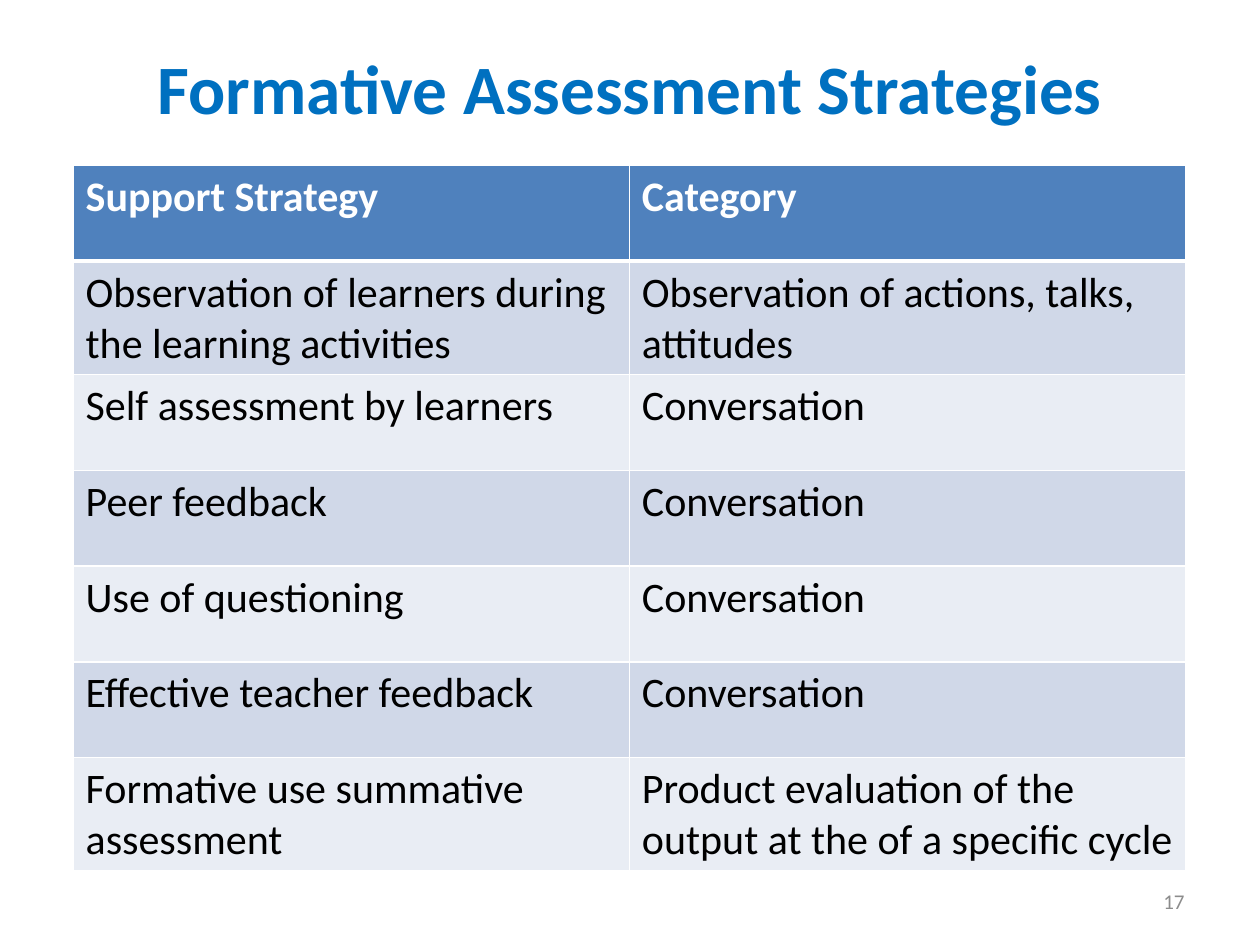
from lxml import etree
from pptx import Presentation
from pptx.dml.color import RGBColor
from pptx.enum.text import MSO_ANCHOR, PP_ALIGN
from pptx.oxml.ns import qn
from pptx.util import Inches, Pt

MIDDLE = MSO_ANCHOR.MIDDLE
CENTER, RIGHT, LEFT = PP_ALIGN.CENTER, PP_ALIGN.RIGHT, PP_ALIGN.LEFT
WIDTH, HEIGHT = Inches(10), Inches(7.5)
FONT = "Calibri"
COLORS = {
    "title": "0070C0",
    "header": "4F81BD",
    "odd": "D0D8E8",
    "even": "E9EDF4",
    "white": "FFFFFF",
    "black": "000000",
    "gray": "8C8C8C",
}
TABLE_BOX = (0.058, 0.175, 0.883, 0.72)
ROW_HEIGHT, FIRST_ROW_HEIGHT = Inches(0.76), Inches(0.84)
STRATEGIES = [
    ("Support Strategy", "Category"),
    ("Observation of learners during the learning activities",
     "Observation of actions, talks, attitudes"),
    ("Self assessment by learners", "Conversation"),
    ("Peer feedback", "Conversation"),
    ("Use of questioning", "Conversation"),
    ("Effective teacher feedback", "Conversation"),
    ("Formative use summative assessment",
     "Product evaluation of the output at the of a specific cycle"),
]


def place(box):
    left, top, width, height = box
    return (int(left * WIDTH), int(top * HEIGHT),
            int(width * WIDTH), int(height * HEIGHT))


def write(text_frame, text, size, color, bold=False, align=LEFT):
    paragraph = text_frame.paragraphs[0]
    paragraph.alignment = align
    run = paragraph.add_run()
    run.text = text
    formats = {"name": FONT, "size": Pt(size), "bold": bold}
    for name, value in formats.items():
        setattr(run.font, name, value)
    run.font.color.rgb = RGBColor.from_string(COLORS[color])


def add_text(slide, box, text, size, color, bold=False, align=LEFT):
    text_frame = slide.shapes.add_textbox(*place(box)).text_frame
    formats = {"word_wrap": True, "vertical_anchor": MIDDLE}
    for name, value in formats.items():
        setattr(text_frame, name, value)
    write(text_frame, text, size, color, bold, align)


def set_borders(cell, widths):
    properties = cell._tc.get_or_add_tcPr()
    for position, (side, width) in enumerate(widths.items()):
        line = etree.Element(qn("a:ln" + side), w=str(Pt(width)))
        fill = etree.SubElement(line, qn("a:solidFill"))
        etree.SubElement(fill, qn("a:srgbClr"), val=COLORS["white"])
        properties.insert(position, line)


def format_cell(cell, text, row_index):
    is_header = row_index == 0
    fill = "header" if is_header else "odd" if row_index % 2 else "even"
    cell.fill.solid()
    cell.fill.fore_color.rgb = RGBColor.from_string(COLORS[fill])
    write(cell.text_frame, text, 24, "white" if is_header else "black", is_header)
    set_borders(cell, {"L": 1, "R": 1, "T": 3 if row_index == 1 else 1,
                       "B": 3 if is_header else 1})


def add_strategy_table(slide, rows):
    left, top, width, height = place(TABLE_BOX)
    table = slide.shapes.add_table(
        len(rows), len(rows[0]), left, top, width, height).table
    for row_index, texts in enumerate(rows):
        table.rows[row_index].height = (
            FIRST_ROW_HEIGHT if row_index == 1 else ROW_HEIGHT)
        for column_index, text in enumerate(texts):
            format_cell(table.cell(row_index, column_index), text, row_index)


def main():
    presentation = Presentation()
    presentation.slide_width, presentation.slide_height = WIDTH, HEIGHT
    slide = presentation.slides.add_slide(presentation.slide_layouts[6])
    add_text(slide, (0.05, 0.04, 0.9, 0.104), "Formative Assessment Strategies",
             39.6, "title", True, CENTER)
    add_strategy_table(slide, STRATEGIES)
    add_text(slide, (0.717, 0.927, 0.233, 0.053), "17", 12, "gray", align=RIGHT)
    presentation.save("out.pptx")


main()
